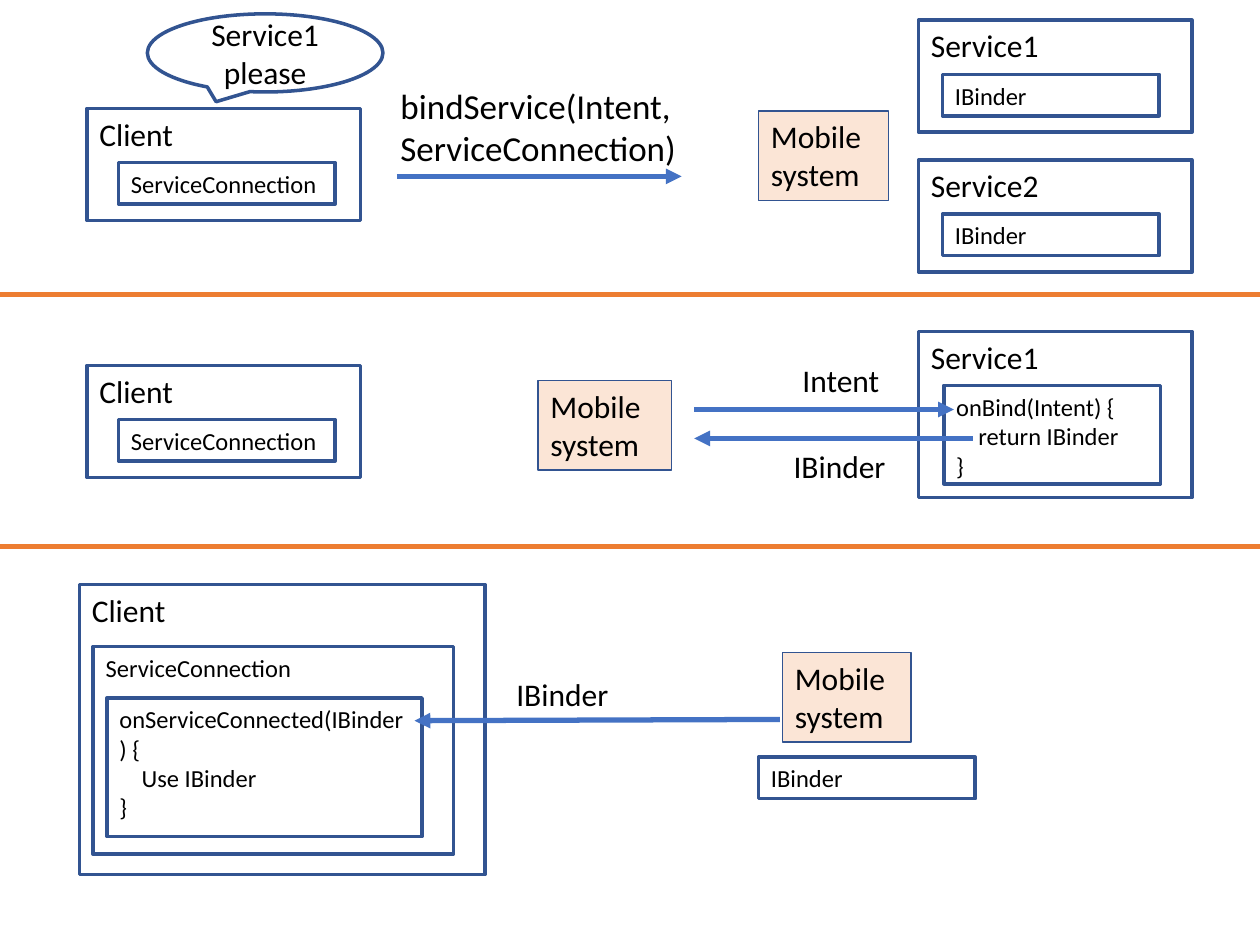
"""Build a three-stage diagram of a client binding to a mobile service."""
from lxml.etree import SubElement
from pptx import Presentation
from pptx.dml.color import RGBColor
from pptx.enum.shapes import MSO_CONNECTOR, MSO_SHAPE
from pptx.enum.text import MSO_ANCHOR, MSO_AUTO_SIZE, PP_ALIGN
from pptx.oxml.ns import qn
from pptx.util import Inches, Pt

COLORS = {"outline": "325491", "system": "FBE5D6", "arrow": "4472C4",
          "divider": "ED7D31", "text": "000000"}
HEADING = {"name": "Calibri", "size": Pt(18)}
DETAIL = {"name": "Calibri", "size": Pt(14)}
CALL = {"name": "Calibri", "size": Pt(20)}

deck = Presentation()
deck.slide_width, deck.slide_height = Inches(10), Inches(7.5)
page = deck.slides.add_slide(deck.slide_layouts[6])
column, row = deck.slide_width / 100, deck.slide_height / 75


def write(box, text, font, frame_format, align=PP_ALIGN.LEFT):
    frame = box.text_frame
    frame.text = text
    for name, value in frame_format.items():
        setattr(frame, name, value)
    for para in frame.paragraphs:
        para.alignment = align
        for span in para.runs:
            for name, value in font.items():
                setattr(span.font, name, value)
            span.font.color.rgb = RGBColor.from_string(COLORS["text"])


def add_box(shapes, left, top, width, height, text, font=HEADING, fill=None,
            kind=MSO_SHAPE.RECTANGLE, align=PP_ALIGN.LEFT, anchor=MSO_ANCHOR.TOP):
    box = shapes.add_shape(kind, int(left * column), int(top * row),
                           int(width * column), int(height * row))
    box.shadow.inherit = False
    if fill:
        box.fill.solid()
        box.fill.fore_color.rgb = RGBColor.from_string(COLORS[fill])
    else:
        box.fill.background()
    box.line.color.rgb = RGBColor.from_string(COLORS["outline"])
    box.line.width = Pt(0.75 if fill else 2)
    size = MSO_AUTO_SIZE.SHAPE_TO_FIT_TEXT if fill else MSO_AUTO_SIZE.NONE
    write(box, text, font, {"word_wrap": True, "auto_size": size,
                            "vertical_anchor": anchor}, align)


for name, left, top, part, indent in [
        ("Client", 6.9, 8.6, "ServiceConnection", 2.5),
        ("Service1", 72.9, 1.6, "IBinder", 1.9),
        ("Service2", 72.9, 12.7, "IBinder", 1.9),
        ("Client", 6.9, 29, "ServiceConnection", 2.5)]:
    group = page.shapes.add_group_shape()
    add_box(group.shapes, left, top, 21.7, 8.9, name)
    add_box(group.shapes, left + indent, top + 4.3, 17.2, 3.3, part, DETAIL)

for left, top, width in [(60.2, 8.8, 10.3), (42.7, 30.2, 10.6), (62.1, 51.8, 10.2)]:
    add_box(page.shapes, left, top, width, 7.1, "Mobile system", fill="system")

add_box(page.shapes, 11.7, 1.1, 18.7, 6.2, "Service1 please",
        kind=MSO_SHAPE.OVAL_CALLOUT, align=PP_ALIGN.CENTER, anchor=MSO_ANCHOR.MIDDLE)

for left, top, width, height, text, font in [
        (72.9, 26.3, 21.7, 13.2, "Service1", HEADING),
        (74.9, 30.6, 17.2, 7.8, "onBind(Intent) {\n    return IBinder\n}", DETAIL),
        (6.3, 46.4, 32.2, 23, "Client", HEADING),
        (7.4, 51.3, 28.6, 16.5, "ServiceConnection", DETAIL),
        (8.5, 55.4, 25, 11, "onServiceConnected(IBinder) {\n    Use IBinder\n}", DETAIL),
        (60.2, 60.1, 17.2, 3.3, "IBinder", DETAIL)]:
    add_box(page.shapes, left, top, width, height, text, font)

for left, top, width, height, text, font, wrap in [
        (30.8, 6.2, 24.3, 7.7, "bindService(Intent, ServiceConnection)", CALL, True),
        (62.7, 28.2, 8.2, 4, "Intent", HEADING, False),
        (62, 35, 9.4, 4, "IBinder", HEADING, False),
        (40, 53.1, 9.4, 4, "IBinder", HEADING, False)]:
    label = page.shapes.add_textbox(int(left * column), int(top * row),
                                    int(width * column), int(height * row))
    write(label, text, font, {"word_wrap": wrap,
                              "auto_size": MSO_AUTO_SIZE.SHAPE_TO_FIT_TEXT})

for start_x, start_y, end_x, end_y, color in [
        (0, 23.4, 100, 23.4, "divider"),
        (0, 43.4, 100, 43.4, "divider"),
        (31.5, 14, 54.1, 14, "arrow"),
        (55.1, 32.5, 75.7, 32.5, "arrow"),
        (77.2, 34.8, 55.1, 34.8, "arrow"),
        (61.9, 57.1, 32.9, 57.2, "arrow")]:
    line = page.shapes.add_connector(
        MSO_CONNECTOR.STRAIGHT, int(start_x * column), int(start_y * row),
        int(end_x * column), int(end_y * row))
    line.line.color.rgb = RGBColor.from_string(COLORS[color])
    line.line.width = Pt(3)
    if color == "arrow":
        SubElement(line.get_or_add_ln(), qn("a:tailEnd"), type="triangle")
    SubElement(line._element.spPr, qn("a:effectLst"))

deck.save("out.pptx")
